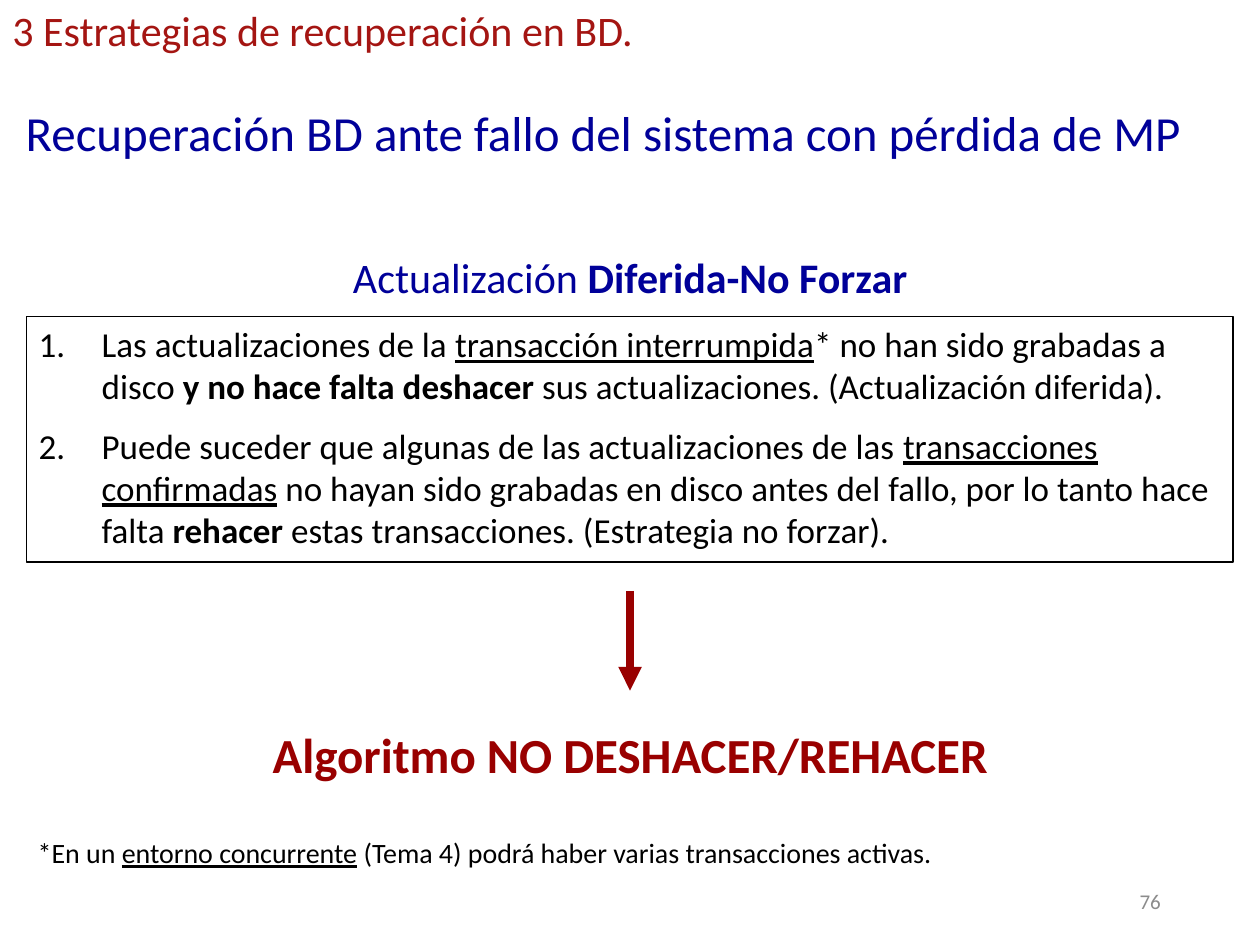
from dataclasses import dataclass

from lxml import etree
from pptx import Presentation
from pptx.dml.color import RGBColor
from pptx.enum import shapes, text
from pptx.oxml import ns
from pptx.util import Cm, Pt


@dataclass(frozen=True)
class Theme:
    font: str = "Calibri"
    black: str = "000000"
    grey: str = "8C8C8C"
    blue: str = "000099"
    red: str = "990000"
    header_red: str = "A41512"
    title: int = 28
    heading: int = 24
    body: int = 20
    note: int = 16
    number: int = 12


THEME = Theme()
ALIGN = text.PP_ALIGN


def set_indent(p, left, hanging=0, numbered=False):
    pPr = p._p.get_or_add_pPr()
    pPr.set("marL", str(Cm(left)))
    pPr.set("indent", str(-Cm(hanging)))
    if numbered:
        etree.SubElement(pPr, ns.qn("a:buFont"), typeface="+mj-lt")
        etree.SubElement(pPr, ns.qn("a:buAutoNum"), type="arabicPeriod")


def add_text(slide, paragraphs, box, *, size, color=THEME.black, align=ALIGN.LEFT,
             anchor=text.MSO_ANCHOR.TOP, inset=0.25, wrap=True, left=0,
             hanging=0, numbered=False, gap=0):
    """Add a text box; each paragraph lists (text, style) runs, style "b", "u" or ""."""
    sp = slide.shapes.add_textbox(*map(Cm, box))
    tf = sp.text_frame
    tf.word_wrap = wrap
    tf.vertical_anchor = anchor
    tf.margin_left = tf.margin_right = Cm(inset)
    tf.margin_top = tf.margin_bottom = Cm(0.13)
    for i, runs in enumerate(paragraphs):
        p = tf.add_paragraph() if i else tf.paragraphs[0]
        if left:
            set_indent(p, left, hanging, numbered)
        p.alignment = align
        if i and gap:
            p.space_before = Pt(gap)
        for content, style in runs:
            r = p.add_run()
            r.text = content
            r.font.name = THEME.font
            r.font.size = Pt(size)
            r.font.color.rgb = RGBColor.from_string(color)
            r.font.bold = "b" in style
            r.font.underline = "u" in style
    return sp


def add_outline(sp, color, width):
    sp.line.color.rgb = RGBColor.from_string(color)
    sp.line.width = Pt(width)


def add_arrow(slide, start, end, color, width):
    line = slide.shapes.add_connector(shapes.MSO_CONNECTOR.STRAIGHT,
                                      *map(Cm, start + end))
    add_outline(line, color, width)
    etree.SubElement(line.line._get_or_add_ln(), ns.qn("a:tailEnd"), type="triangle")
    etree.SubElement(line._element.spPr, ns.qn("a:effectLst"))


def main():
    prs = Presentation()
    prs.slide_width, prs.slide_height = Cm(25.4), Cm(19.05)
    s = prs.slides.add_slide(prs.slide_layouts[6])

    add_text(s, [[("76", "")]], (17.93, 17.65, 5.72, 1.02), size=THEME.number,
             color=THEME.grey, align=ALIGN.RIGHT, anchor=text.MSO_ANCHOR.MIDDLE)
    add_text(s, [[("3 Estrategias de recuperación en BD.", "")]],
             (0, -0.03, 13.13, 1.27), size=THEME.heading, color=THEME.header_red,
             wrap=False)
    add_text(s, [[("Recuperación BD ante fallo del sistema con pérdida de MP", "")]],
             (0, 1.93, 24.64, 1.45), size=THEME.title, color=THEME.blue,
             inset=0, left=0.52)
    add_text(s, [[("Actualización ", ""), ("Diferida-No Forzar", "b")]],
             (2.06, 4.95, 21.29, 1.3), size=THEME.heading, color=THEME.blue,
             align=ALIGN.CENTER)

    reasons = [
        [("Las actualizaciones de la ", ""),
         ("transacción interrumpida", "u"),
         ("* no han sido grabadas a disco ", ""),
         ("y no hace falta deshacer ", "b"),
         ("sus actualizaciones. (Actualización diferida).", "")],
        [("Puede suceder que algunas de las actualizaciones de las ", ""),
         ("transacciones confirmadas", "u"),
         (" no hayan sido grabadas en disco antes del fallo, por lo tanto hace falta ", ""),
         ("rehacer", "b"),
         (" estas transacciones. (Estrategia no forzar).", "")],
    ]
    reasons_box = add_text(s, reasons, (0.53, 6.38, 24.33, 4.95), size=THEME.body,
                           left=1.27, hanging=1.27, numbered=True, gap=10)
    add_outline(reasons_box, THEME.black, 0.75)

    add_text(s, [[("Algoritmo NO DESHACER/REHACER", "b")]],
             (3.51, 14.48, 18.39, 1.45), size=THEME.title, color=THEME.red,
             align=ALIGN.CENTER, inset=0)
    add_arrow(s, (12.7, 11.91), (12.7, 13.92), THEME.red, 4.5)
    add_text(s, [[("*En un ", ""), ("entorno concurrente", "u"),
                  (" (Tema 4) podrá haber varias transacciones activas.", "")]],
             (0.51, 16.71, 24.21, 0.94), size=THEME.note)

    prs.save("out.pptx")


if __name__ == "__main__":
    main()
